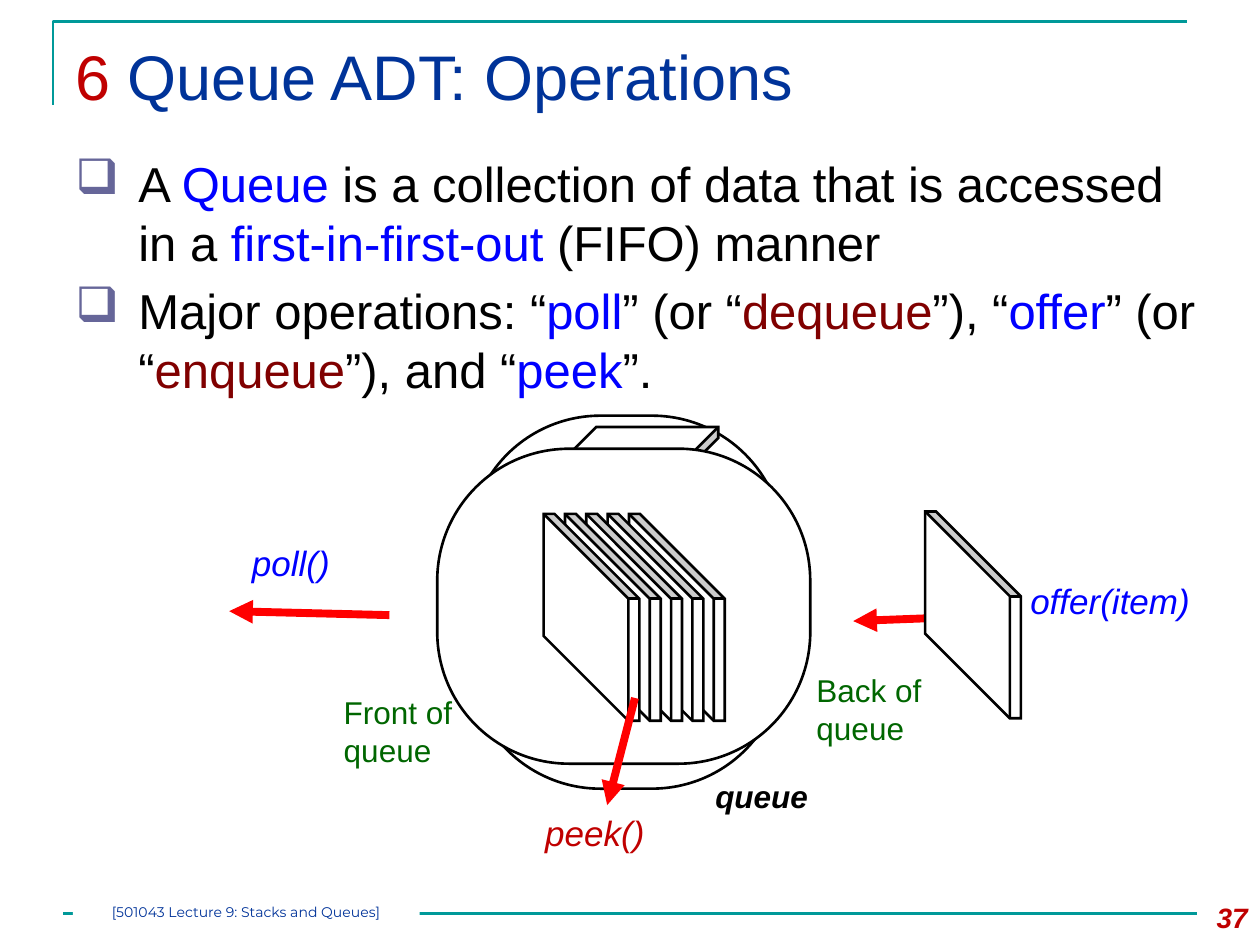
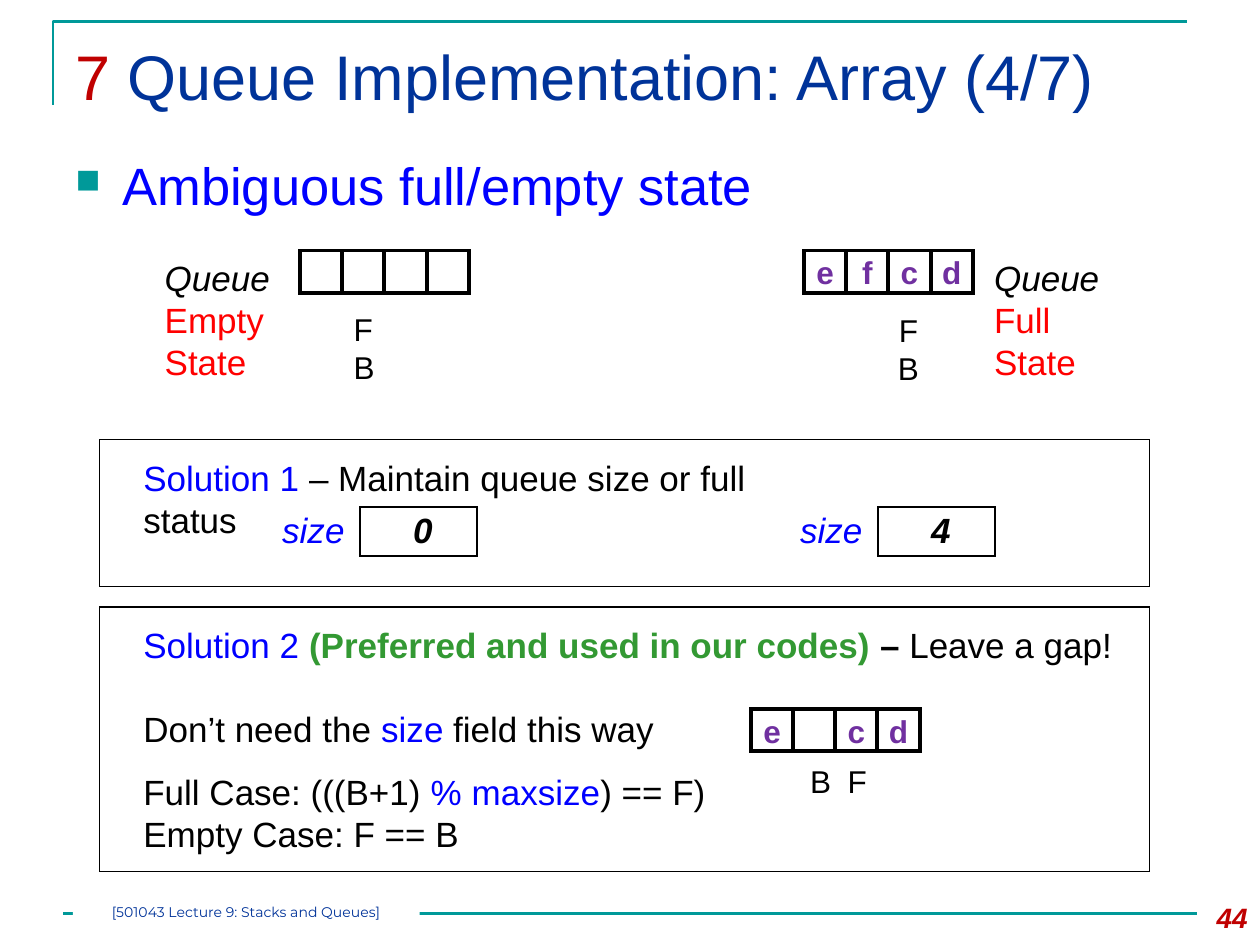
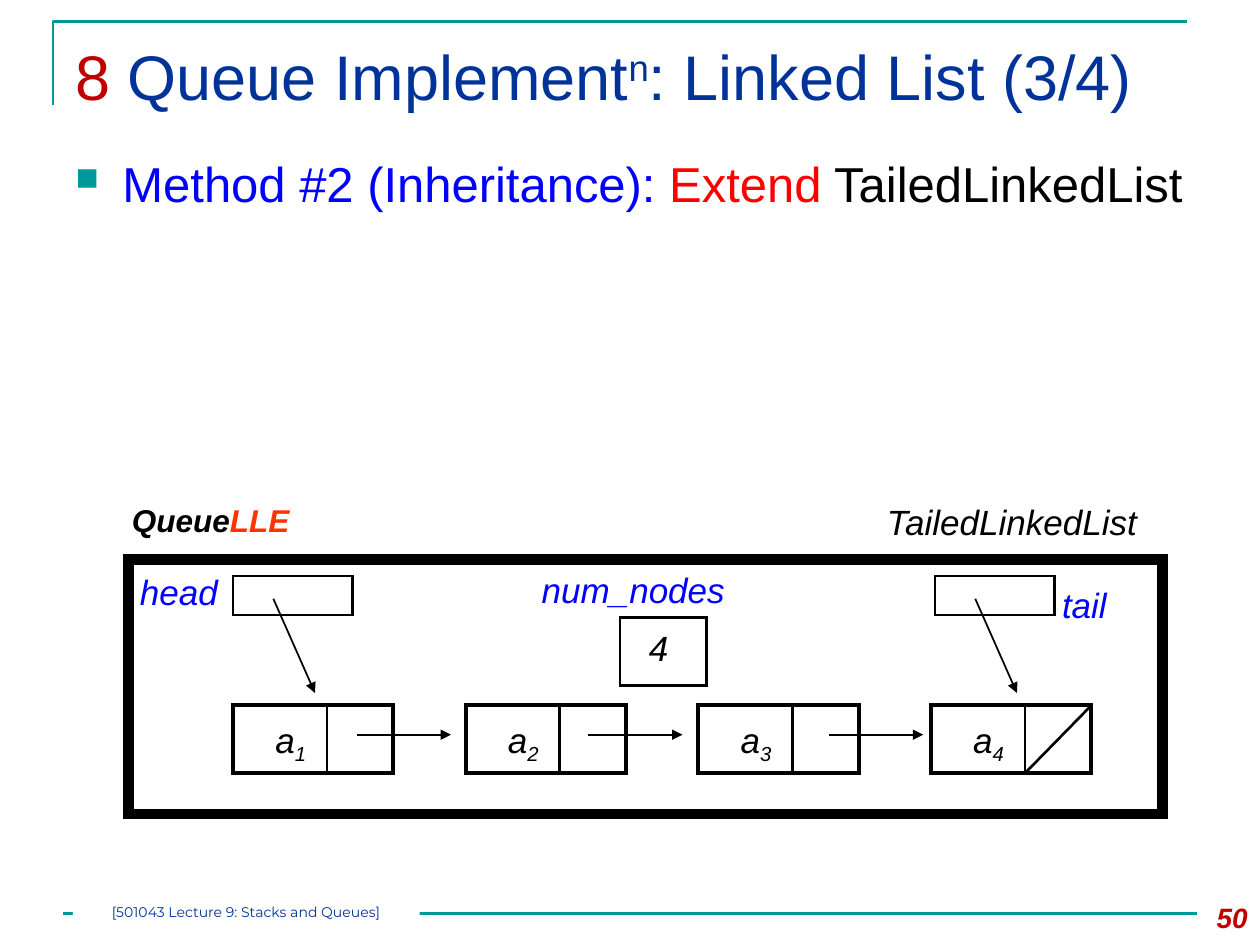
from lxml.etree import SubElement
from pptx import Presentation
from pptx.dml.color import RGBColor
from pptx.enum.shapes import MSO_CONNECTOR, MSO_SHAPE
from pptx.enum.text import PP_ALIGN
from pptx.oxml.ns import qn
from pptx.util import Cm, Pt

BLACK, WHITE, RED, BLUE = "000000", "FFFFFF", "FF0000", "0000FF"
TEAL, NAVY, CRIMSON = "009999", "003399", "C00000"
MAROON, GREEN, PURPLE = "800000", "006600", "7030A0"
color = RGBColor.from_string


def add_box(slide, kind, left, top, width, height, paragraphs=(), size=20, fill=None,
            line=None, weight=1.5, align=PP_ALIGN.LEFT, wrap=False, font="Arial"):
    """Add a shape, or a text box when kind is None; lengths are in cm.

    A paragraph is a list of runs (text, colour, flags), where the flags are
    b bold, i italic, ^ superscript and _ subscript.
    """
    frame = Cm(left), Cm(top), Cm(width), Cm(height)
    if kind is None:
        shape = slide.shapes.add_textbox(*frame)
    else:
        shape = slide.shapes.add_shape(kind, *frame)
        shape.shadow.inherit = False
    if fill:
        shape.fill.solid()
        shape.fill.fore_color.rgb = color(fill)
    else:
        shape.fill.background()
    if line:
        shape.line.color.rgb = color(line)
        shape.line.width = Pt(weight)
        SubElement(shape._element.spPr.find(qn("a:ln")), qn("a:miter"), lim="800000")
    else:
        shape.line.fill.background()
    text_frame = shape.text_frame
    text_frame.word_wrap = wrap
    for index, runs in enumerate(paragraphs):
        paragraph = text_frame.add_paragraph() if index else text_frame.paragraphs[0]
        paragraph.alignment = align
        for text, run_color, flags in runs:
            run = paragraph.add_run()
            run.text = text
            run.font.name = font
            run.font.size = Pt(size)
            run.font.color.rgb = color(run_color)
            run.font.bold = "b" in flags
            run.font.italic = "i" in flags
            if "^" in flags or "_" in flags:
                baseline = "30000" if "^" in flags else "-25000"
                run._r.get_or_add_rPr().set("baseline", baseline)
    return shape


def add_line(slide, start_x, start_y, end_x, end_y, line=BLACK, weight=1.5, arrow=False):
    connector = slide.shapes.add_connector(
        MSO_CONNECTOR.STRAIGHT, Cm(start_x), Cm(start_y), Cm(end_x), Cm(end_y))
    connector.line.color.rgb = color(line)
    connector.line.width = Pt(weight)
    properties = connector._element.spPr
    if arrow:
        SubElement(properties.find(qn("a:ln")), qn("a:tailEnd"), type="triangle")
    SubElement(properties, qn("a:effectLst"))


presentation = Presentation()
presentation.slide_width = Cm(25.4)
presentation.slide_height = Cm(19.05)

# What the slides share: number, title, body text, body size, body height, bullet
pages = [
    ("37", [("6 ", CRIMSON, ""), ("Queue ADT: Operations", NAVY, "")],
     [[("A ", BLACK, ""), ("Queue", BLUE, ""),
       (" is a collection of data that is accessed in a ", BLACK, ""),
       ("first-in-first-out", BLUE, ""), (" (FIFO) manner", BLACK, "")],
      [("Major operations: “", BLACK, ""), ("poll", BLUE, ""), ("” (or “", BLACK, ""),
       ("dequeue", MAROON, ""), ("”), “", BLACK, ""), ("offer", BLUE, ""),
       ("” (or “", BLACK, ""), ("enqueue", MAROON, ""), ("”), and “", BLACK, ""),
       ("peek", BLUE, ""), ("”.", BLACK, "")]],
     28, 4.65, ("❑", "666699", 100, 1.27)),
    ("44", [("7 ", CRIMSON, ""), ("Queue Implementation: Array (4/7)", NAVY, "")],
     [[("Ambiguous full/empty state", BLUE, "")]],
     30, 1.9, ("■", TEAL, 65, 0.95)),
    ("50", [("8 ", CRIMSON, ""), ("Queue Implement", NAVY, ""), ("n", NAVY, "^"),
            (": Linked List (3/4)", NAVY, "")],
     [[("Method #2 (Inheritance): ", BLUE, ""), ("Extend", RED, ""),
       (" TailedLinkedList", BLACK, "")]],
     28, 4.01, ("■", TEAL, 65, 0.95)),
]
slides = []
for number, title, body, body_size, body_height, bullet in pages:
    slide = presentation.slides.add_slide(presentation.slide_layouts[6])
    slides.append(slide)

    # Corner rule and footer
    builder = slide.shapes.build_freeform(Cm(1.07), Cm(2.11))
    builder.add_line_segments([(Cm(1.07), Cm(0.43)), (Cm(23.93), Cm(0.43))], close=False)
    corner = builder.convert_to_shape()
    corner.shadow.inherit = False
    corner.fill.background()
    corner.line.color.rgb = color(TEAL)
    corner.line.width = Pt(1.5)
    add_line(slide, 1.27, 18.42, 24.13, 18.42, TEAL)
    footer = add_box(slide, None, 1.47, 18.21, 6.99, 0.43,
                     [[("[501043 Lecture 9: Stacks and Queues]", NAVY, "")]],
                     8, WHITE, align=PP_ALIGN.CENTER, wrap=True, font="Montserrat")
    frame = footer.text_frame
    frame.margin_left = frame.margin_top = frame.margin_right = frame.margin_bottom = 0
    add_box(slide, None, 23.7, 18.03, 1.7, 1.02, [[(number, CRIMSON, "bi")]], 16,
            align=PP_ALIGN.RIGHT, wrap=True)

    # Title and bulleted body
    add_box(slide, None, 1.27, 0.63, 22.86, 2.18, [title], 36, wrap=True)
    body_box = add_box(slide, None, 1.27, 2.97, 23.29, body_height, body, body_size, wrap=True)
    character, bullet_color, percent, indent = bullet
    for index, paragraph in enumerate(body_box.text_frame.paragraphs):
        properties = paragraph._p.get_or_add_pPr()
        properties.set("marL", str(Cm(indent)))
        properties.set("indent", str(-Cm(indent)))
        SubElement(SubElement(properties, qn("a:buClr")), qn("a:srgbClr"), val=bullet_color)
        SubElement(properties, qn("a:buSzPct"), val=str(percent * 1000))
        SubElement(properties, qn("a:buChar"), char=character)
        if index:
            paragraph.space_before = Pt(body_size * 0.2)

operations, array_queue, linked_queue = slides

# Operations: queue container, arrows and items from back to front
add_box(operations, None, 14.17, 15.54, 2.41, 1.02, [[("queue", BLACK, "bi")]], 18)
add_line(operations, 20.4, 12.4, 17.2, 12.52, RED, 4.5, arrow=True)
add_line(operations, 7.85, 12.4, 4.62, 12.32, RED, 4.5, arrow=True)
container, item = MSO_SHAPE.ROUNDED_RECTANGLE, MSO_SHAPE.CUBE
solids = [(container, 9.45, 8.38, 0), (item, 10.31, 8.61, 0),
          (container, 9.4, 8.46, 270), (item, 17.53, 11.43, 270)]
solids += [(item, 11.56 - 0.43 * place, 11.48, 270) for place in range(5)]
for kind, left, top, rotation in solids:
    width, height, adjustment = (4.17, 1.93, 0.886) if kind == item else (6.35, 7.52, 0.418)
    solid = add_box(operations, kind, left, top, width, height, fill=WHITE, line=BLACK)
    solid.adjustments[0] = adjustment
    solid.rotation = rotation

# Operations: labels
for text, left, top, width, label_color, fill in [
        ("offer(item)", 20.52, 11.56, 3.76, BLUE, None),
        ("poll()", 4.83, 10.8, 2.11, BLUE, None),
        ("peek()", 10.74, 16.23, 2.54, CRIMSON, WHITE)]:
    add_box(operations, None, left, top, width, 1.12, [[(text, label_color, "i")]],
            fill=fill)
add_box(operations, None, 6.68, 13.84, 3.23, 1.8, [[("Front of queue", GREEN, "")]], 18, wrap=True)
add_box(operations, None, 16.21, 13.41, 2.77, 1.8, [[("Back of queue", GREEN, "")]], 18, wrap=True)
add_line(operations, 12.8, 14.07, 12.24, 16.23, RED, 4.5, arrow=True)

# Array: solution panels
for top, height in [(8.86, 2.97), (12.24, 5.33)]:
    add_box(array_queue, MSO_SHAPE.RECTANGLE, 2.01, top, 21.16, height,
            fill=WHITE, line=BLACK, weight=0.75)

# Array: cells of the three queues
cell = 0.85
for row_left, row_top, values in [
        (6.05, 5.05, ["", "", "", ""]),
        (16.21, 5.05, ["e", "f", "c", "d"]),
        (15.14, 14.3, ["e", "", "c", "d"])]:
    for column, value in enumerate(values):
        add_box(array_queue, MSO_SHAPE.RECTANGLE, row_left + column * cell, row_top, cell, cell,
                [[(value, PURPLE, "b")]] if value else (), 18, WHITE, BLACK, 2.25,
                PP_ALIGN.CENTER)

# Array: state names and front/back marks
for left, state in [(3.07, "Empty"), (19.79, "Full")]:
    add_box(array_queue, None, left, 5.05, 2.9, 2.79,
            [[("Queue", BLACK, "i")], [(state, RED, "")], [("State", RED, "")]], wrap=True)
for left, top, align in [(6.88, 6.12, PP_ALIGN.LEFT), (17.78, 6.15, PP_ALIGN.CENTER)]:
    add_box(array_queue, None, left, top, 1.07, 1.78,
            [[("F", BLACK, "")], [("B", BLACK, "")]], 18, align=align, wrap=True)
marks = add_box(array_queue, None, 15.9, 15.24, 2.11, 0.99, [[("B\tF", BLACK, "")]], 18, wrap=True)
marks.text_frame.margin_left = Cm(0.43)
marks.text_frame.margin_right = 0
properties = marks.text_frame.paragraphs[0]._p.get_or_add_pPr()
SubElement(SubElement(properties, qn("a:tabLst")), qn("a:tab"), pos=str(Cm(0.76)), algn="l")

# Array: solution 1
add_box(array_queue, None, 2.64, 9.07, 14.71, 1.09,
        [[("Solution 1 ", BLUE, ""), ("– Maintain queue size or full status", BLACK, "")]],
        wrap=True)
for left, count in [(5.44, "0"), (15.88, "4")]:
    add_box(array_queue, MSO_SHAPE.RECTANGLE, left + 1.82, 10.22, 2.36, 0.99, line=BLACK)
    add_box(array_queue, None, left, 10.12, 2, 1.09, [[("size", BLUE, "i")]], wrap=True)
    add_box(array_queue, None, left + 2.64, 10.12, 0.91, 1.09, [[(count, BLACK, "bi")]])

# Array: solution 2
solution = add_box(array_queue, None, 2.64, 12.45, 20.17, 4.95, [
    [("Solution 2 ", BLUE, ""), ("(Preferred and used in our codes) ", "339933", "b"),
     ("– ", BLACK, "b"), ("Leave a gap!", BLACK, "")],
    [("Don’t need the ", BLACK, ""), ("size", BLUE, ""), (" field this way", BLACK, "")],
    [("Full Case: (((B+1)", BLACK, ""), (" % maxsize", BLUE, ""), (") == F)", BLACK, "")],
    [("Empty Case: F == B", BLACK, "")]])
solution.text_frame.paragraphs[1].space_before = Pt(24)
solution.text_frame.paragraphs[2].space_before = Pt(12)

# Linked list: frame, names and node count
add_box(linked_queue, None, 10.67, 11.33, 4.57, 1.12, [[("num_nodes", BLUE, "i")]],
        fill=WHITE, wrap=True)
add_box(linked_queue, MSO_SHAPE.RECTANGLE, 12.5, 12.45, 1.75, 1.37, fill=WHITE, line=BLACK)
add_box(linked_queue, None, 12.83, 12.5, 0.99, 1.12, [[("4", BLACK, "i")]], fill=WHITE, wrap=True)
add_box(linked_queue, MSO_SHAPE.RECTANGLE, 2.59, 11.28, 20.85, 5.13, line=BLACK, weight=6)
add_box(linked_queue, None, 2.41, 9.98, 3.71, 1.02,
        [[("Queue", BLACK, "bi"), ("LLE", "FF3300", "bi")]], 18)
add_box(linked_queue, None, 17.63, 9.96, 5.61, 1.12, [[("TailedLinkedList", BLACK, "i")]])

# Linked list: nodes
for index in range(4):
    left = 4.7 + 4.69 * index
    add_box(linked_queue, MSO_SHAPE.RECTANGLE, left, 14.22, 3.23, 1.37, line=BLACK, weight=2.25)
    add_line(linked_queue, left + 1.89, 14.17, left + 1.89, 15.57)
    add_box(linked_queue, None, left + 0.6, 14.35, 1.17, 1.09,
            [[("a", BLACK, "i"), (str(index + 1), BLACK, "i_")]])
add_line(linked_queue, 21.97, 14.25, 20.65, 15.6)
for start in (7.19, 11.86, 16.71):
    add_line(linked_queue, start, 14.81, start + 1.9, 14.81, weight=1, arrow=True)

# Linked list: head and tail pointers
for left, name, name_left, name_top, name_width in [
        (4.7, "head", 2.57, 11.38, 2.08), (18.85, "tail", 21.16, 11.63, 1.42)]:
    add_box(linked_queue, MSO_SHAPE.RECTANGLE, left, 11.61, 2.41, 0.79, line=BLACK)
    add_box(linked_queue, None, name_left, name_top, name_width, 1.1, [[(name, BLUE, "i")]])
    add_line(linked_queue, left + 0.81, 12.07, left + 1.65, 13.97, weight=1, arrow=True)

presentation.save("out.pptx")
